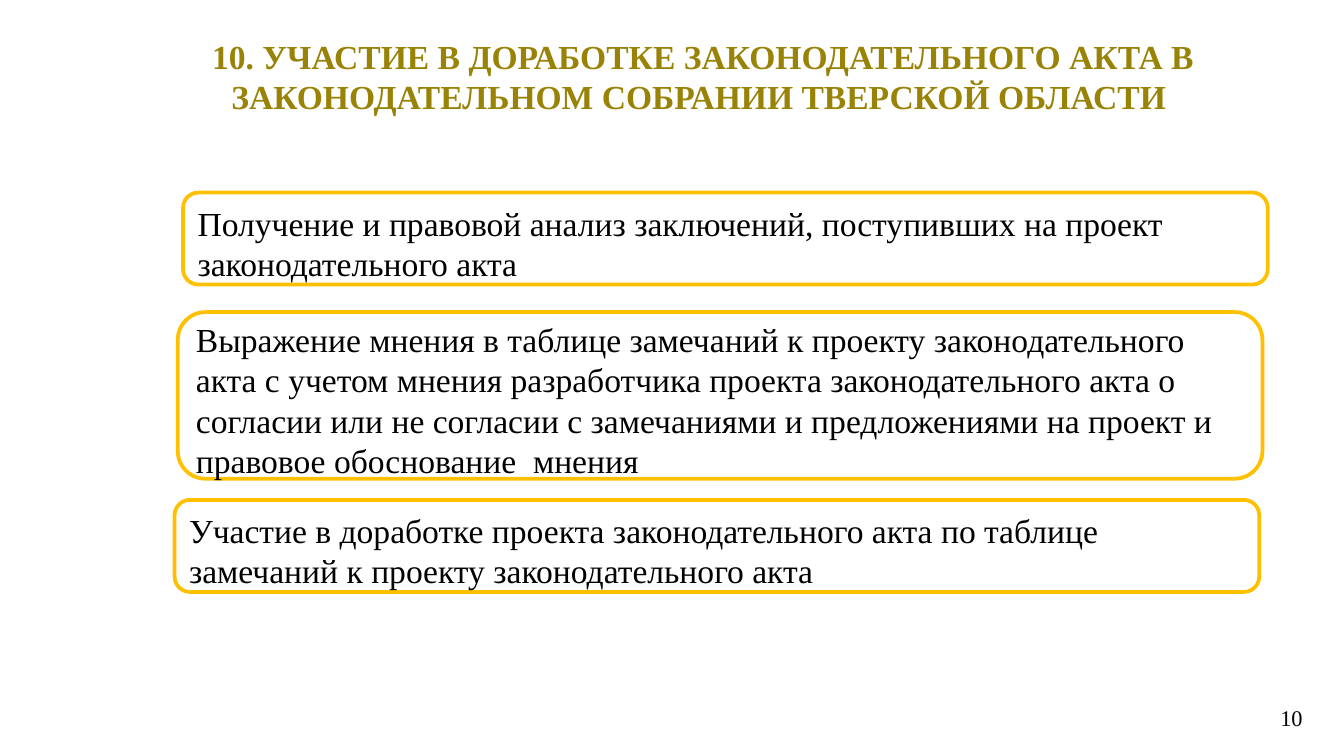
"""Build the slide on finalising a bill in the regional legislature."""
from dataclasses import dataclass

from pptx import Presentation
from pptx.dml.color import RGBColor
from pptx.enum import shapes, text
from pptx.util import Cm, Pt


@dataclass(frozen=True)
class Theme:
    font: str = "Times New Roman"
    heading: RGBColor = RGBColor(0x99, 0x83, 0x07)
    ink: RGBColor = RGBColor(0, 0, 0)
    outline: RGBColor = RGBColor(0xFF, 0xC0, 0x00)
    body_size: float = 18
    number_size: float = 12
    outline_width: float = 2


@dataclass(frozen=True)
class Stage:
    left: float
    top: float
    height: float
    wording: str


THEME = Theme()
STAGE_WIDTH = 20.5
STAGES = (
    Stage(3.46, 3.64, 1.74,
          "Получение и правовой анализ заключений, поступивших на проект "
          "законодательного акта"),
    Stage(3.36, 5.9, 3.15,
          "Выражение мнения в таблице замечаний к проекту законодательного "
          "акта с учетом мнения разработчика проекта законодательного акта о "
          "согласии или не согласии с замечаниями и предложениями на проект и "
          "правовое обоснование  мнения"),
    Stage(3.3, 9.45, 1.74,
          "Участие в доработке проекта законодательного акта по таблице "
          "замечаний к проекту законодательного акта"),
)


def write(holder, wording: str, align, anchor, size: float = THEME.body_size,
          color: RGBColor = THEME.ink, bold: bool = False,
          top_inset: float = 0.1) -> None:
    """Fill a shape with one formatted paragraph."""
    frame = holder.text_frame
    frame.word_wrap = True
    frame.vertical_anchor = anchor
    frame.margin_left = frame.margin_right = Cm(0.19)
    frame.margin_top, frame.margin_bottom = Cm(top_inset), Cm(0.1)
    paragraph = frame.paragraphs[0]
    paragraph.alignment = align
    run = paragraph.add_run()
    run.text = wording
    run.font.name = THEME.font
    run.font.size = Pt(size)
    run.font.bold = bold
    run.font.color.rgb = color


def draw_stage(slide, stage: Stage) -> None:
    """Draw one outlined stage of the work."""
    panel = slide.shapes.add_shape(
        shapes.MSO_SHAPE.ROUNDED_RECTANGLE, Cm(stage.left), Cm(stage.top),
        Cm(STAGE_WIDTH), Cm(stage.height))
    panel.shadow.inherit = False
    panel.fill.background()
    panel.line.color.rgb = THEME.outline
    panel.line.width = Pt(THEME.outline_width)
    write(panel, stage.wording, text.PP_ALIGN.LEFT, text.MSO_ANCHOR.MIDDLE,
          top_inset=0.26)


def main() -> None:
    """Assemble and save the slide."""
    deck = Presentation()
    deck.slide_width, deck.slide_height = Cm(25.4), Cm(14.29)
    slide = deck.slides.add_slide(deck.slide_layouts[6])

    heading = slide.shapes.add_textbox(Cm(2.29), Cm(0.74), Cm(22), Cm(1.4))
    write(heading,
          "10. УЧАСТИЕ В ДОРАБОТКЕ ЗАКОНОДАТЕЛЬНОГО АКТА В "
          "ЗАКОНОДАТЕЛЬНОМ СОБРАНИИ ТВЕРСКОЙ ОБЛАСТИ ",
          text.PP_ALIGN.CENTER, text.MSO_ANCHOR.MIDDLE,
          color=THEME.heading, bold=True)

    page_number = slide.shapes.add_textbox(
        Cm(23.95), Cm(13.21), Cm(0.86), Cm(0.86))
    write(page_number, "10", text.PP_ALIGN.RIGHT, text.MSO_ANCHOR.TOP,
          size=THEME.number_size)

    for stage in STAGES:
        draw_stage(slide, stage)
    deck.save("out.pptx")


main()
